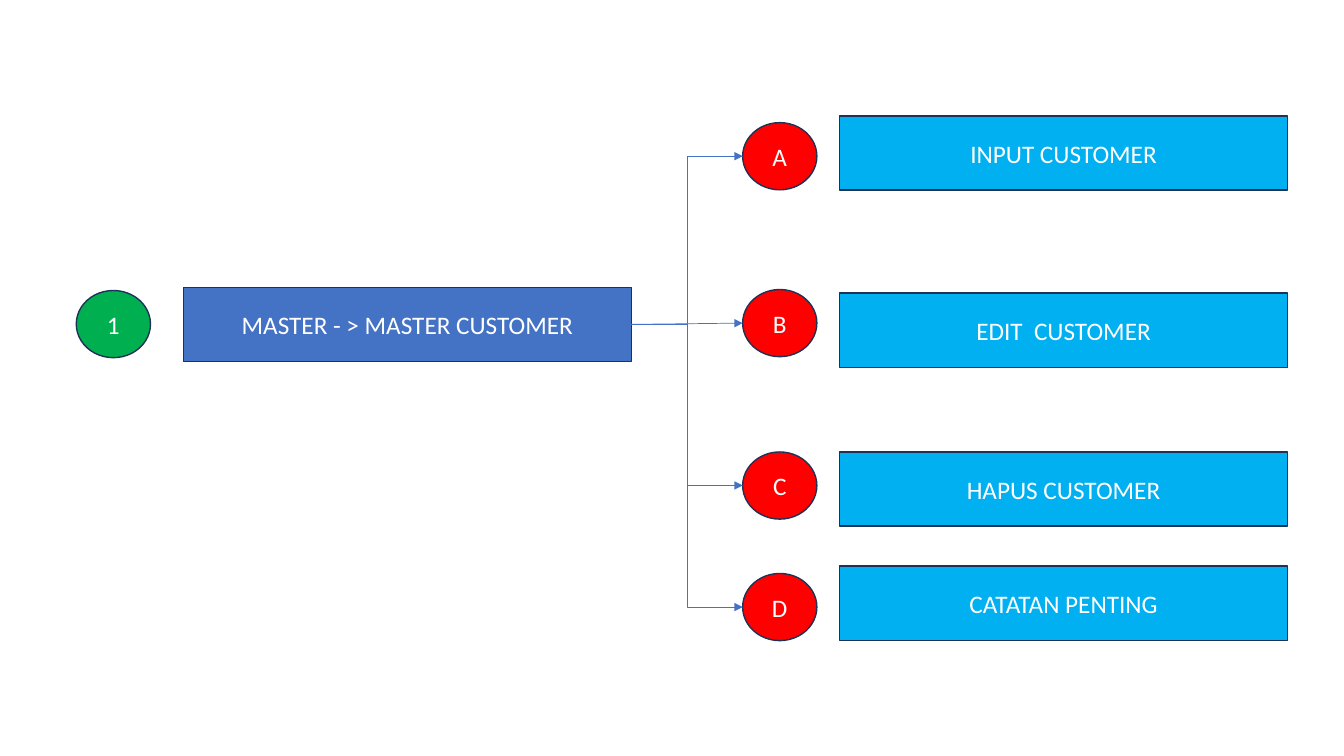
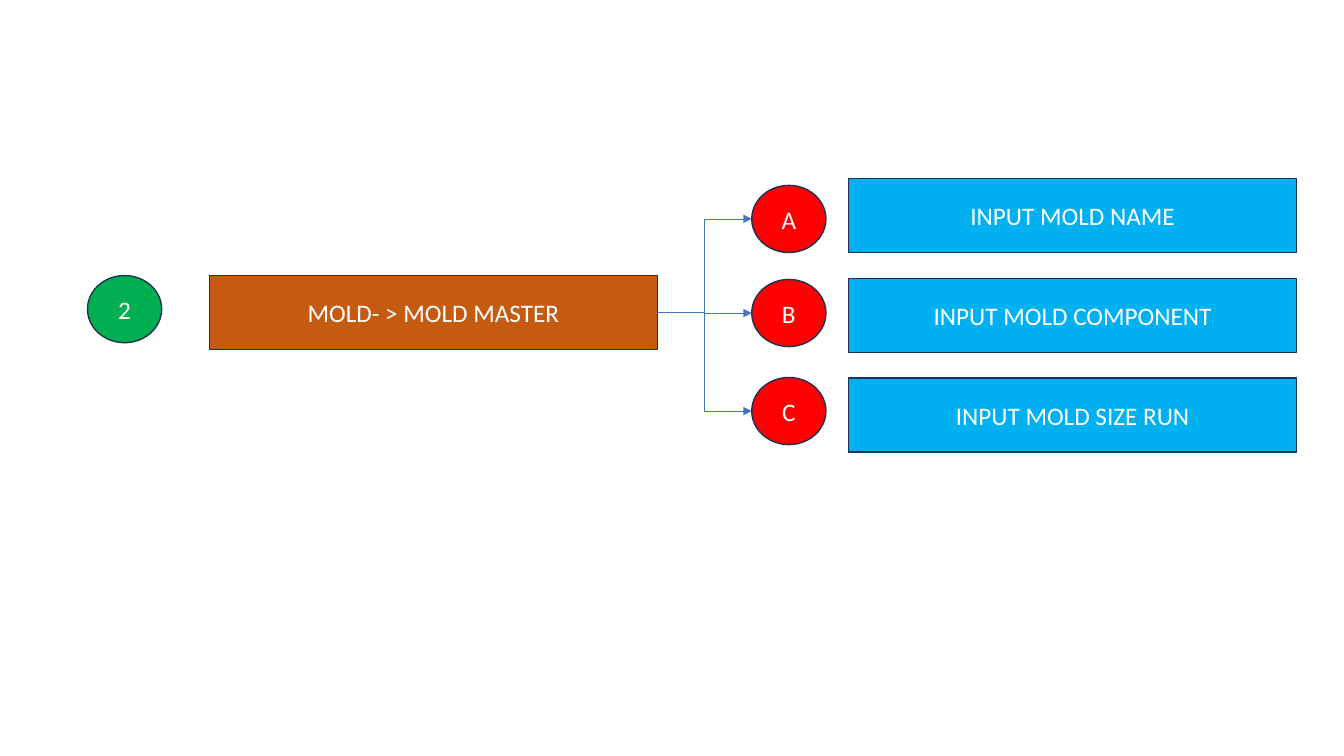
from dataclasses import dataclass

from pptx import Presentation, util as u
from pptx.dml.color import RGBColor
from pptx.enum import shapes, text
from pptx.oxml import ns, xmlchemy
from pptx.shapes.autoshape import Shape
from pptx.slide import Slide


@dataclass(frozen=True)
class Theme:
    font: str = "Calibri"
    text_size: float = 18
    outline_width: float = 1
    arrow_width: float = 0.5
    text_color: str = "FFFFFF"
    outline: str = "1E3256"
    arrow: str = "4472C4"
    number: str = "00B050"
    letter: str = "FF0000"
    step: str = "00B0F0"
    customer: str = "4472C4"
    mold: str = "C55A11"


@dataclass(frozen=True)
class Step:
    label: str
    badge_top: float
    box_top: float
    straight: bool = False


@dataclass(frozen=True)
class Menu:
    number: str
    title: str
    color: str
    number_at: tuple[float, float]
    title_at: tuple[float, float]
    badge_left: float
    steps: tuple[Step, ...]


THEME = Theme()
SLIDE_SIZE = (960, 540)
BOX_SIZE = (320, 53)
BADGE_SIZE = (53, 48)
BADGE_TO_BOX = 69.2  # from the left of a badge to the left of its box
RIGHT_OF_BOX = 3
LEFT_OF_BADGE = 2

MENUS = (
    Menu("1", "MASTER - > MASTER CUSTOMER", THEME.customer,
         (54.5, 207.5), (131, 205.2), 530.5, (
             Step("INPUT CUSTOMER", 87.6, 82.8),
             Step("EDIT  CUSTOMER", 206.8, 209.4, straight=True),
             Step("HAPUS CUSTOMER", 322.8, 322.8),
             Step("CATATAN PENTING", 409.6, 404.4),
         )),
    Menu("2", "MOLD- > MOLD MASTER", THEME.mold,
         (62.5, 196.8), (149.6, 196.8), 537, (
             Step("INPUT MOLD NAME", 132.4, 127.6),
             Step("INPUT MOLD COMPONENT", 199.6, 198.8),
             Step("INPUT MOLD SIZE RUN", 269.6, 270),
         )),
)


def add_label(slide: Slide, kind: shapes.MSO_SHAPE, at: tuple[float, float],
              size: tuple[float, float], color: str, label: str) -> Shape:
    shape = slide.shapes.add_shape(kind, *(u.Pt(length) for length in at + size))
    shape.shadow.inherit = False
    shape.fill.solid()
    shape.fill.fore_color.rgb = RGBColor.from_string(color)
    shape.line.color.rgb = RGBColor.from_string(THEME.outline)
    shape.line.width = u.Pt(THEME.outline_width)
    frame = shape.text_frame
    frame.vertical_anchor = text.MSO_ANCHOR.MIDDLE
    paragraph = frame.paragraphs[0]
    paragraph.alignment = text.PP_ALIGN.CENTER
    run = paragraph.add_run()
    run.text = label
    run.font.color.rgb = RGBColor.from_string(THEME.text_color)
    font_format = {"name": THEME.font, "size": u.Pt(THEME.text_size)}
    for attribute, value in font_format.items():
        setattr(run.font, attribute, value)
    return shape


def add_box(slide: Slide, at: tuple[float, float], color: str, label: str) -> Shape:
    return add_label(slide, shapes.MSO_SHAPE.RECTANGLE, at, BOX_SIZE, color, label)


def add_badge(slide: Slide, at: tuple[float, float], color: str, label: str) -> Shape:
    return add_label(slide, shapes.MSO_SHAPE.OVAL, at, BADGE_SIZE, color, label)


def add_arrow(slide: Slide, box: Shape, badge: Shape, straight: bool) -> None:
    """Lead from the right side of the box to the left side of the badge."""
    kind = shapes.MSO_CONNECTOR.STRAIGHT if straight else shapes.MSO_CONNECTOR.ELBOW
    connector = slide.shapes.add_connector(kind, 0, 0, 0, 0)
    connector.begin_connect(box, RIGHT_OF_BOX)
    connector.end_connect(badge, LEFT_OF_BADGE)
    # end_connect places ends as on a rectangle; an oval has eight sites
    connector.end_x = badge.left
    connector.end_y = badge.top + badge.height // 2
    connector.line.color.rgb = RGBColor.from_string(THEME.arrow)
    connector.line.width = u.Pt(THEME.arrow_width)
    head = xmlchemy.OxmlElement("a:tailEnd")
    head.set("type", "triangle")
    properties = connector.element.spPr
    properties.find(ns.qn("a:ln")).append(head)
    properties.append(xmlchemy.OxmlElement("a:effectLst"))


def draw_menu(slide: Slide, menu: Menu) -> None:
    add_badge(slide, menu.number_at, THEME.number, menu.number)
    title = add_box(slide, menu.title_at, menu.color, menu.title)
    for letter, step in zip("ABCD", menu.steps):
        badge = add_badge(slide, (menu.badge_left, step.badge_top), THEME.letter, letter)
        add_box(slide, (menu.badge_left + BADGE_TO_BOX, step.box_top),
                THEME.step, step.label)
        add_arrow(slide, title, badge, step.straight)


def main() -> None:
    presentation = Presentation()
    presentation.slide_width, presentation.slide_height = map(u.Pt, SLIDE_SIZE)
    blank = presentation.slide_layouts[6]
    for menu in MENUS:
        draw_menu(presentation.slides.add_slide(blank), menu)
    presentation.save("out.pptx")


if __name__ == "__main__":
    main()
